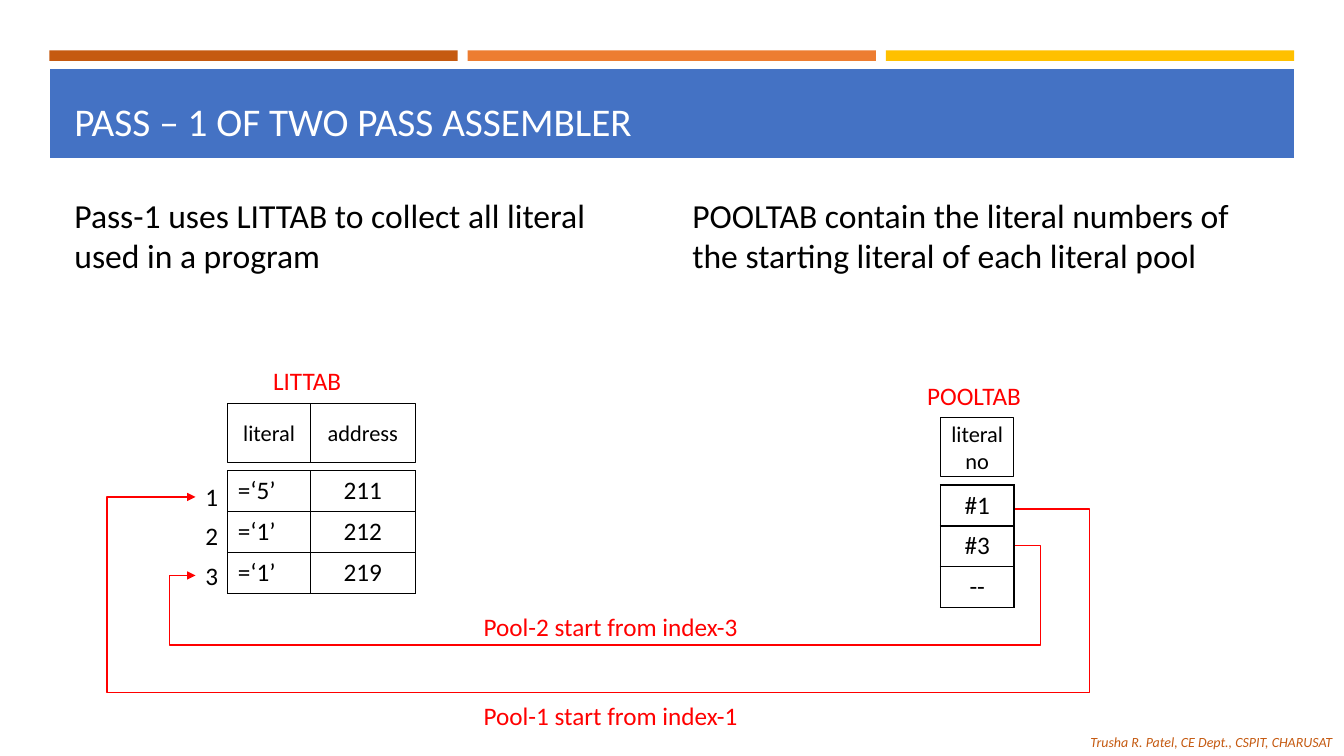
from lxml import etree
from pptx import Presentation
from pptx import util as u
from pptx.dml.color import RGBColor
from pptx.enum import shapes, text
from pptx.oxml import parse_xml
from pptx.oxml.ns import nsdecls, qn

COLUMNS, ROWS = 160, 90
WIDTH, HEIGHT = u.Inches(13.33), u.Inches(7.5)
BLACK, WHITE, RED = "000000", "FFFFFF", "FF0000"
RUST, ORANGE, GOLD, BLUE = "C55A11", "ED7D31", "FFC000", "4472C4"
CENTER, MIDDLE = text.PP_ALIGN.CENTER, text.MSO_ANCHOR.MIDDLE
HEADER_HEIGHT, ROW_HEIGHT, BODY_OFFSET = 7.08, 4.88, 8.05


def col(n):
    return u.Emu(round(WIDTH * n / COLUMNS))


def row(n):
    return u.Emu(round(HEIGHT * n / ROWS))


def area(left, top, width, height):
    return col(left), row(top), col(width), row(height)


def rgb(color):
    return RGBColor.from_string(color)


def write(frame, words, color=BLACK, align=None, **font):
    frame.text = words
    paragraph = frame.paragraphs[0]
    paragraph.alignment = align
    for name, value in {"name": "Calibri", "size": u.Pt(18), **font}.items():
        setattr(paragraph.font, name, value)
    paragraph.font.color.rgb = rgb(color)


def label(slide, place, words, color=BLACK, wrap=False, anchor=None, **font):
    frame = slide.shapes.add_textbox(*area(*place)).text_frame
    frame.word_wrap = wrap
    frame.vertical_anchor = anchor
    write(frame, words, color, **font)


def bullet(slide, place, words):
    frame = slide.shapes.add_textbox(*area(*place)).text_frame
    frame.word_wrap = True
    paragraph = frame.paragraphs[0]
    paragraph.space_after = u.Pt(6)
    props = paragraph._p.get_or_add_pPr()
    props.set("marL", str(u.Inches(0.33)))
    props.set("indent", str(-u.Inches(0.33)))
    color = etree.SubElement(props, qn("a:buClr"))
    etree.SubElement(color, qn("a:srgbClr"), val=ORANGE)
    etree.SubElement(props, qn("a:buSzPct"), val="92000")
    etree.SubElement(props, qn("a:buChar"), char="■")
    write(frame, words, size=u.Pt(24))


def box(slide, place, fill=None, line=None, line_width=0.75):
    shape = slide.shapes.add_shape(shapes.MSO_SHAPE.RECTANGLE, *area(*place))
    shape.shadow.inherit = False
    for part, color in ((shape.fill, fill), (shape.line.fill, line)):
        if color:
            part.solid()
            part.fore_color.rgb = rgb(color)
        else:
            part.background()
    if line:
        shape.line.width = u.Pt(line_width)
    return shape


def border(cell):
    props = cell._tc.get_or_add_tcPr()
    for index, side in enumerate(("lnL", "lnR", "lnT", "lnB")):
        props.insert(index, parse_xml(
            f'<a:{side} {nsdecls("a")} w="{u.Pt(1)}"><a:solidFill>'
            f'<a:srgbClr val="{BLACK}"/></a:solidFill></a:{side}>'))


def lookup_table(slide, left, top, widths, headings, entries):
    """Heading boxes with a table of entries a little below them."""
    for index, heading in enumerate(headings):
        place = left + sum(widths[:index]), top, widths[index], HEADER_HEIGHT
        frame = box(slide, place, line=BLACK).text_frame
        frame.word_wrap = True
        frame.vertical_anchor = MIDDLE
        write(frame, heading, align=CENTER, size=u.Pt(16))

    place = left, top + BODY_OFFSET, sum(widths), ROW_HEIGHT * len(entries)
    table = slide.shapes.add_table(
        len(entries), len(widths), *area(*place)).table
    table.first_row = table.horz_banding = False
    for column, width in zip(table.columns, widths):
        column.width = col(width)
    for r, entry in enumerate(entries):
        for c, value in enumerate(entry):
            cell = table.cell(r, c)
            cell.fill.background()
            border(cell)
            is_literal = value.startswith("=")
            write(cell.text_frame, value, align=None if is_literal else CENTER)


def pool_arrow(slide, start, end, left, bottom, right):
    """Arrow from a POOLTAB row, around both tables, to a LITTAB row."""
    (x1, y1), (x2, y2) = start, end
    arrow = slide.shapes.add_connector(
        shapes.MSO_CONNECTOR.ELBOW, col(x1), row(y1), col(x2), row(y2))
    arrow.line.color.rgb = rgb(RED)
    arrow.line.width = u.Pt(1)
    props = arrow._element.spPr
    geometry = props.find(qn("a:prstGeom"))
    geometry.set("prst", "bentConnector5")
    guides = geometry.find(qn("a:avLst"))
    bends = ((left - x1) / (x2 - x1), (bottom - y1) / (y2 - y1),
             (right - x1) / (x2 - x1))
    for number, share in enumerate(bends, 1):
        etree.SubElement(guides, qn("a:gd"), name=f"adj{number}",
                         fmla=f"val {round(share * 100000)}")
    etree.SubElement(props.find(qn("a:ln")), qn("a:headEnd"), type="triangle")
    etree.SubElement(props, qn("a:effectLst"))


def main():
    deck = Presentation()
    deck.slide_width, deck.slide_height = WIDTH, HEIGHT
    slide = deck.slides.add_slide(deck.slide_layouts[6])

    label(slide, (128.64, 86.76, 31.32, 3.24),
          "Trusha R. Patel, CE Dept., CSPIT, CHARUSAT", RUST,
          size=u.Pt(10), italic=True)
    box(slide, (5.8, 8.04, 148.4, 10.92), BLUE, WHITE, 2)
    for index, color in enumerate((RUST, ORANGE, GOLD)):
        box(slide, (5.88 + 49.8 * index, 6, 48.6, 1.25), color)
    label(slide, (7.68, 9.24, 144.72, 8.52), "PASS – 1 OF TWO PASS ASSEMBLER",
          WHITE, wrap=True, anchor=text.MSO_ANCHOR.BOTTOM, size=u.Pt(28))

    points = (
        "Pass-1 uses LITTAB to collect all literal used in a program",
        "POOLTAB contain the literal numbers of the starting literal of each "
        "literal pool")
    for index, point in enumerate(points):
        bullet(slide, (7.68 + 73.56 * index, 22.56, 71.16, 63.12), point)

    label(slide, (31.32, 42.96, 11.76, 4.8), "LITTAB", RED)
    lookup_table(slide, 27.12, 48, (9.84, 12.48), ("literal", "address"),
                 (("=‘5’", "211"), ("=‘1’", "212"), ("=‘1’", "219")))
    for index in range(3):
        label(slide, (23.28, 56.7 + 4.7 * index, 3.96, 4.8), str(index + 1))

    label(slide, (109.2, 44.64, 15.36, 4.8), "POOLTAB", RED)
    lookup_table(slide, 111.96, 49.68, (8.76,), ("literal no",),
                 (("#1",), ("#3",), ("--",)))

    label(slide, (56.4, 72.24, 33.72, 4.8), "Pool-2 start from index-3", RED)
    pool_arrow(slide, (23.28, 68.52), (120.84, 64.92), 20.16, 76.8, 123.84)
    label(slide, (56.4, 82.8, 33.72, 4.8), "Pool-1 start from index-1", RED)
    pool_arrow(slide, (23.28, 59.16), (120.84, 60.6), 12.72, 82.44, 129.72)

    deck.save("out.pptx")


if __name__ == "__main__":
    main()
